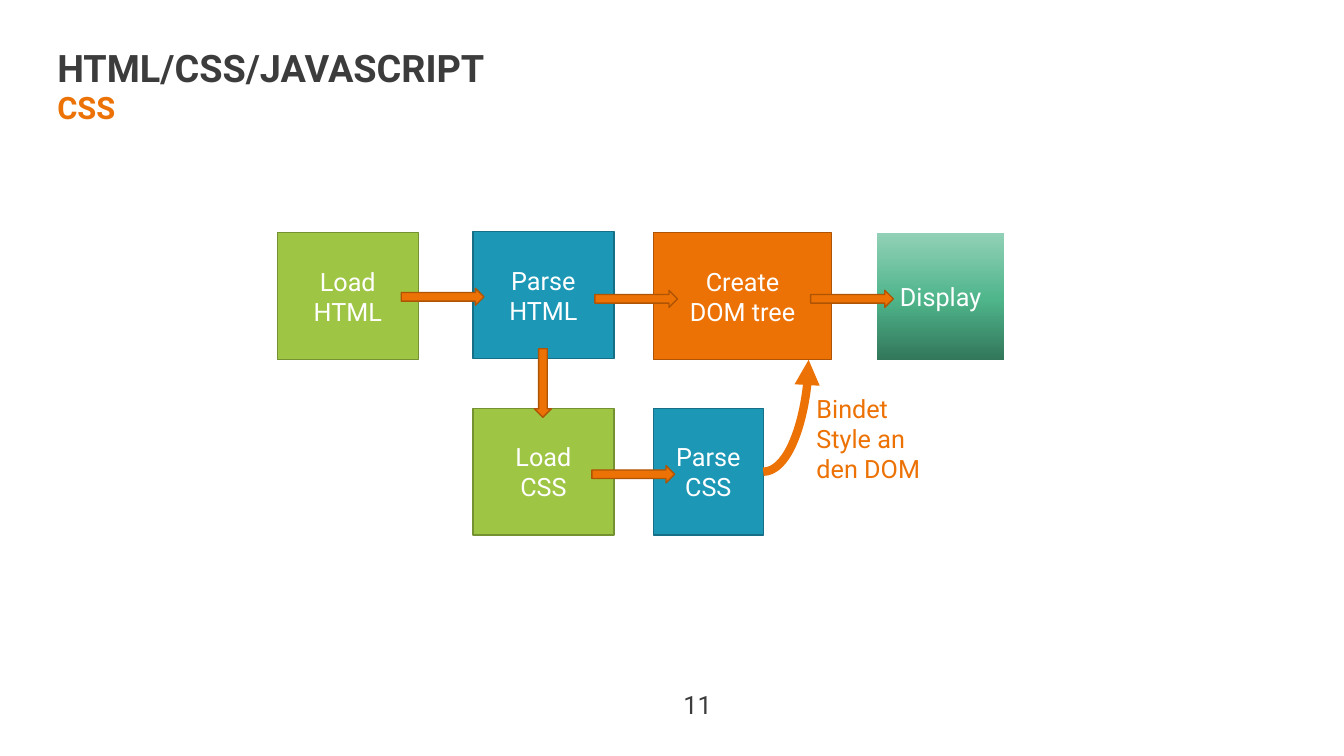
import copy

import lxml.etree
import pptx
import pptx.dml.color
import pptx.enum.shapes
import pptx.enum.text
import pptx.oxml.ns
import pptx.util

Inches = pptx.util.Inches
Pt = pptx.util.Pt
RGB = pptx.dml.color.RGBColor.from_string
SHAPE = pptx.enum.shapes.MSO_SHAPE
ALIGN = pptx.enum.text.PP_ALIGN
ANCHOR = pptx.enum.text.MSO_ANCHOR
qn = pptx.oxml.ns.qn

THEME = {
    "font": "Roboto",
    "title_size": 27,
    "subtitle_size": 22,
    "body_size": 18,
    "dark": "3C3C3C",
    "white": "FFFFFF",
    "load": ("9EC544", "759232"),
    "parse": ("1C98B6", "157087"),
    "accent": ("ED7205", "AF5404"),
    "display": ((0, "32775A"), (0.48, "4FB58B"), (1, "92D1B7")),
}
ORANGE = THEME["accent"][0]


def write(shape, lines, size, color, align=ALIGN.LEFT, anchor=ANCHOR.MIDDLE, **spacing):
    """Fill a shape with one paragraph per line; spacing holds paragraph attributes."""
    frame = shape.text_frame
    frame.word_wrap = True
    frame.vertical_anchor = anchor
    frame.text = "\n".join(lines)
    for paragraph in frame.paragraphs:
        paragraph.alignment = align
        for name, value in spacing.items():
            setattr(paragraph, name, value)
        font_format = {"name": THEME["font"], "size": Pt(size), "bold": size > THEME["body_size"]}
        for name, value in font_format.items():
            setattr(paragraph.font, name, value)
        paragraph.font.color.rgb = RGB(color)


def add_block(preset, left, top, width, height, colors):
    """Add a shape with a (fill, outline) pair of colours."""
    block = slide.shapes.add_shape(
        preset, Inches(left), Inches(top), Inches(width), Inches(height))
    block.shadow.inherit = False
    block.fill.solid()
    block.fill.fore_color.rgb = RGB(colors[0])
    block.line.color.rgb = RGB(colors[1])
    block.line.width = Pt(1)
    return block


prs = pptx.Presentation()
prs.slide_width, prs.slide_height = Inches(13.33), Inches(7.5)
slide = prs.slides.add_slide(prs.slide_layouts[6])

# Headings and page number
page_number = slide.shapes.add_textbox(Inches(6.68), Inches(6.79), Inches(0.67), Inches(0.4))
write(page_number, ["11"], THEME["body_size"], THEME["dark"], anchor=ANCHOR.TOP)
subtitle = slide.shapes.add_textbox(Inches(0.47), Inches(0.89), Inches(9.75), Inches(0.39))
write(subtitle, ["CSS"], THEME["subtitle_size"], ORANGE, line_spacing=0.9)
title = slide.shapes.add_textbox(Inches(0.47), Inches(0.49), Inches(9.75), Inches(0.42))
write(title, ["HTML/CSS/JAVASCRIPT"], THEME["title_size"], THEME["dark"], line_spacing=0.9)

# Processing steps
STEP_HEIGHT = 1.26
HTML_ROW, CSS_ROW = 2.31, 4.05
steps = [
    (["Load", "HTML"], 2.75, HTML_ROW, 1.4, "load"),
    (["Parse", "HTML"], 4.69, 2.3, 1.4, "parse"),
    (["Create", "DOM tree"], 6.48, HTML_ROW, 1.77, "accent"),
    (["Display"], 8.7, HTML_ROW, 1.26, "display"),
    (["Load", "CSS"], 4.69, CSS_ROW, 1.4, "load"),
    (["Parse", "CSS"], 6.48, CSS_ROW, 1.09, "parse"),
]
for lines, left, top, width, role in steps:
    colors = THEME["accent"] if role == "display" else THEME[role]
    step = add_block(SHAPE.RECTANGLE, left, top, width, STEP_HEIGHT, colors)
    write(step, lines, THEME["body_size"], THEME["white"], ALIGN.CENTER)
    if role == "display":
        step.line.fill.background()
        step.fill.gradient()
        step.fill.gradient_angle = 90
        stop_list = next(step._element.spPr.iter(qn("a:gsLst")))
        stop_list.append(copy.deepcopy(stop_list[-1]))
        for stop, (position, color) in zip(step.fill.gradient_stops, THEME["display"]):
            stop.position = position
            stop.color.rgb = RGB(color)

# Arrows between the steps
ARROW_LENGTH, ARROW_THICKNESS = 0.82, 0.17
for left, top in [(3.98, 2.86), (5.9, 2.88), (8.04, 2.88), (5.87, 4.62)]:
    add_block(SHAPE.RIGHT_ARROW, left, top, ARROW_LENGTH, ARROW_THICKNESS, THEME["accent"])
add_block(SHAPE.DOWN_ARROW, 5.3, 3.46, ARROW_THICKNESS, 0.68, THEME["accent"])

# Styles flow back into the DOM tree
style_binding = slide.shapes.add_connector(
    pptx.enum.shapes.MSO_CONNECTOR.CURVE,
    Inches(7.57), Inches(4.68), Inches(8.02), Inches(3.57))
style_binding.line.color.rgb = RGB(ORANGE)
style_binding.line.width = Pt(6)
binding_properties = style_binding._element.spPr
binding_properties.find(qn("a:prstGeom")).set("prst", "curvedConnector2")
lxml.etree.SubElement(binding_properties.find(qn("a:ln")), qn("a:tailEnd"), type="triangle")
lxml.etree.SubElement(binding_properties, qn("a:effectLst"))

binding_label = slide.shapes.add_textbox(Inches(8), Inches(3.85), Inches(1.47), Inches(1.2))
write(binding_label, ["Bindet Style an den DOM"], THEME["body_size"], ORANGE, anchor=ANCHOR.TOP)

prs.save("out.pptx")
